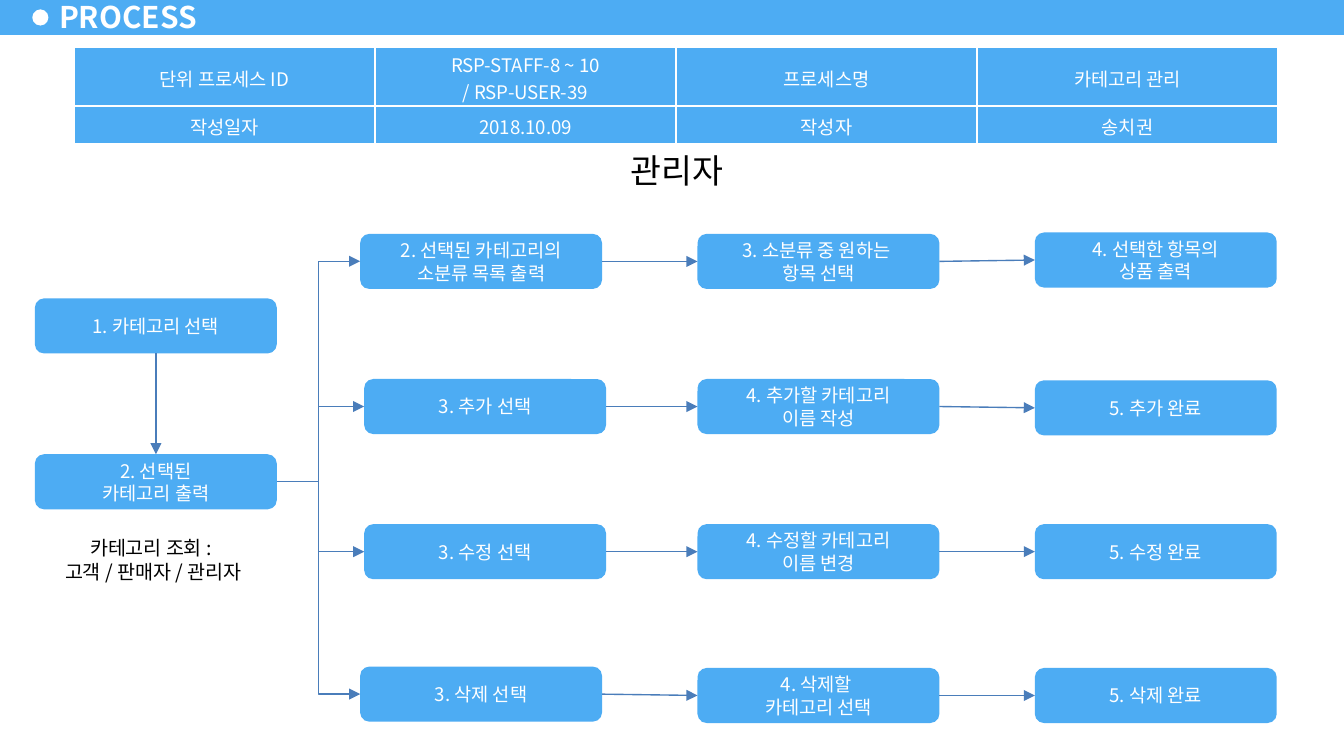
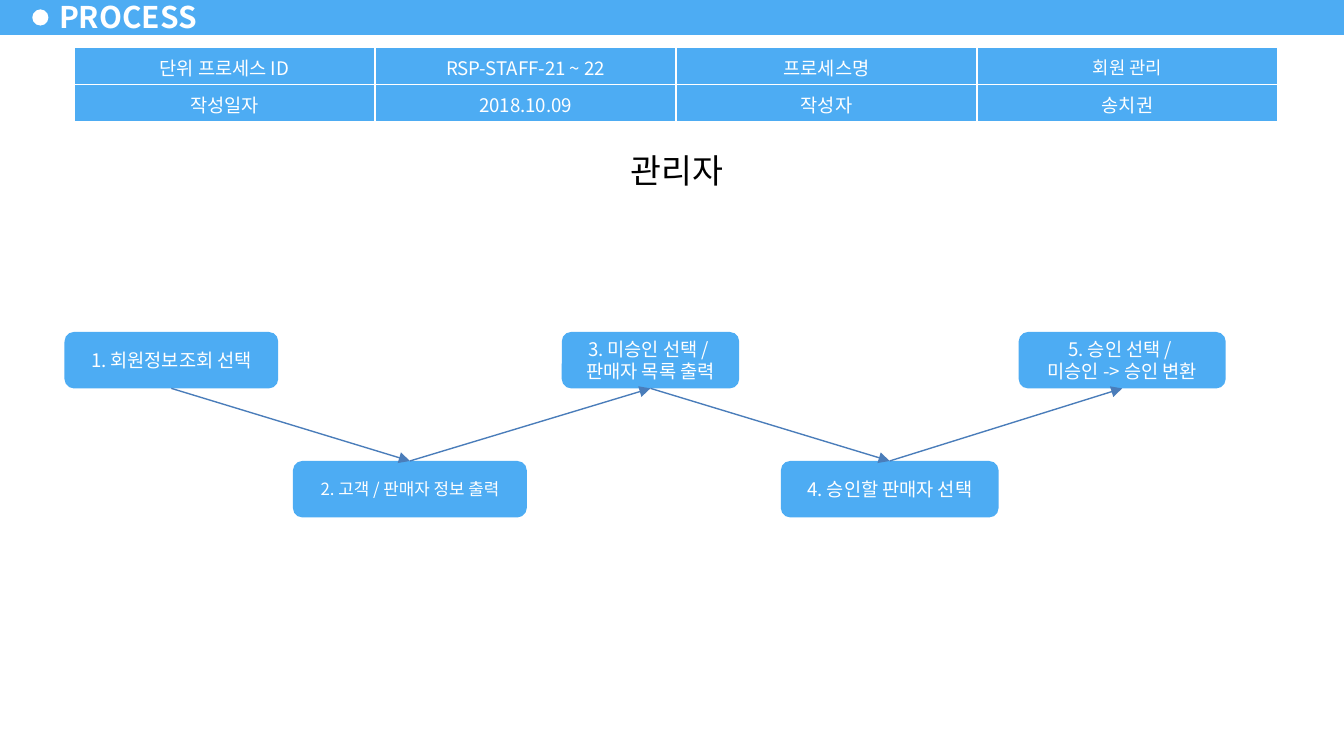
from dataclasses import dataclass
from typing import Any

from lxml import etree
from pptx import Presentation
from pptx import util as u
from pptx.dml import color
from pptx.enum import shapes, text
from pptx.oxml import ns

BLUE, LINE, WHITE, BLACK = "4DACF3", "4A7DBA", "FFFFFF", "000000"
FONT = "Noto Sans CJK KR"
BOTTOM, RIGHT, LEFT, TOP = 2, 3, 1, 0
BOX_WIDTH, BOX_HEIGHT = 1.8, 0.41


@dataclass(frozen=True)
class Step:
    label: str
    left: float
    top: float
    width: float = BOX_WIDTH
    height: float = BOX_HEIGHT
    size: float = 10


@dataclass(frozen=True)
class Branch:
    left: float
    tops: tuple[float, float, float]
    labels: tuple[str, str, str]


@dataclass(frozen=True)
class Header:
    process_id: str
    name: str
    first_row: float
    name_size: float = 10


def rgb(value: str) -> color.RGBColor:
    return color.RGBColor.from_string(value)


def apply(target: Any, values: dict[str, Any]) -> None:
    for key, value in values.items():
        setattr(target, key, value)


def child(parent: Any, tag: str, **attributes: str) -> Any:
    return etree.SubElement(parent, ns.qn(tag), attributes)


def write(frame: Any, words: str, size: float, ink: str, bold: bool = False,
          align: Any = text.PP_ALIGN.CENTER) -> None:
    frame.text = words
    for paragraph in frame.paragraphs:
        paragraph.alignment = align
        for run in paragraph.runs:
            apply(run.font, {"size": u.Pt(size), "name": FONT, "bold": bold})
            run.font.color.rgb = rgb(ink)
            child(run.font._element, "a:ea", typeface=FONT)


def block(slide: Any, kind: Any, left: float, top: float, width: float,
          height: float, fill: str) -> Any:
    area = slide.shapes.add_shape(kind, *map(u.Inches, (left, top, width, height)))
    area.shadow.inherit = False
    area.fill.solid()
    area.fill.fore_color.rgb = rgb(fill)
    area.line.fill.background()
    return area


def caption(slide: Any, words: str, left: float, top: float, width: float,
            height: float, size: float) -> None:
    area = block(slide, shapes.MSO_SHAPE.RECTANGLE, left, top, width, height, WHITE)
    apply(area.text_frame, {"vertical_anchor": text.MSO_ANCHOR.TOP, "word_wrap": True})
    write(area.text_frame, words, size, BLACK)


def draw_step(slide: Any, step: Step) -> Any:
    box = block(slide, shapes.MSO_SHAPE.ROUNDED_RECTANGLE, step.left, step.top,
                step.width, step.height, BLUE)
    apply(box.text_frame, {"vertical_anchor": text.MSO_ANCHOR.MIDDLE, "word_wrap": True})
    write(box.text_frame, step.label, step.size, WHITE)
    return box


def arrow(slide: Any, start: tuple[float, float], end: tuple[float, float],
          kind: Any = shapes.MSO_CONNECTOR.STRAIGHT) -> Any:
    link = slide.shapes.add_connector(kind, *map(u.Inches, (*start, *end)))
    link.line.width = u.Pt(0.75)
    link.line.color.rgb = rgb(LINE)
    child(link.line._get_or_add_ln(), "a:tailEnd", type="triangle")
    child(link._element.spPr, "a:effectLst")
    return link


def join(slide: Any, source: Any, source_side: int, target: Any, target_side: int,
         kind: Any = shapes.MSO_CONNECTOR.STRAIGHT) -> None:
    link = arrow(slide, (0, 0), (0, 0), kind)
    link.begin_connect(source, source_side)
    link.end_connect(target, target_side)


def draw_header(slide: Any, header: Header) -> None:
    rows = (("단위 프로세스 ID", header.process_id, "프로세스명", header.name),
            ("작성일자", "2018.10.09", "작성자", "송치권"))
    heights = (header.first_row, 0.28)
    table = slide.shapes.add_table(2, 4, *map(u.Inches, (0.55, 0.35, 8.96, sum(heights)))).table
    for column in table.columns:
        column.width = u.Inches(2.24)
    for row, height, labels in zip(table.rows, heights, rows):
        row.height = u.Inches(height)
        for cell, label in zip(row.cells, labels):
            apply(cell, {"vertical_anchor": text.MSO_ANCHOR.MIDDLE,
                         "margin_top": u.Inches(0.03), "margin_bottom": u.Inches(0.01)})
            size = header.name_size if label == header.name else 10
            write(cell.text_frame, label, size, WHITE)
            properties = cell._tc.get_or_add_tcPr()
            for edge in ("a:lnL", "a:lnR", "a:lnT", "a:lnB"):
                border = child(properties, edge, w=str(u.Pt(1)))
                child(child(border, "a:solidFill"), "a:srgbClr", val=WHITE)
            cell.fill.solid()
            cell.fill.fore_color.rgb = rgb(BLUE)


def add_banner(layout: Any, slide: Any) -> None:
    band = block(slide, shapes.MSO_SHAPE.RECTANGLE, 0, -0.02, 10, 0.28, BLUE)
    bullet = block(slide, shapes.MSO_SHAPE.OVAL, 0.24, 0.07, 0.12, 0.12, WHITE)
    for position, part in enumerate((band, bullet), 2):
        layout.shapes._spTree.insert(position, part._element)


def start_slide(deck: Any, header: Header) -> Any:
    slide = deck.slides.add_slide(deck.slide_layouts[5])
    title = slide.shapes.title
    apply(title, {"left": u.Inches(0.35), "top": u.Inches(-0.04),
                  "width": u.Inches(1.22), "height": u.Inches(0.32)})
    apply(title.text_frame, {"vertical_anchor": text.MSO_ANCHOR.MIDDLE,
                             "auto_size": text.MSO_AUTO_SIZE.NONE,
                             "margin_left": u.Inches(0.09), "margin_right": u.Inches(0.09),
                             "margin_top": u.Inches(0.04), "margin_bottom": u.Inches(0.04)})
    write(title.text_frame, "PROCESS", 16, WHITE, True, text.PP_ALIGN.LEFT)
    caption(slide, "관리자", 3.25, 1.07, 3.57, 0.4, 18)
    draw_header(slide, header)
    return slide


def category_slide(deck: Any) -> Any:
    slide = start_slide(deck, Header("RSP-STAFF-8 ~ 10\v/ RSP-USER-39", "카테고리 관리", 0.44))
    choose = draw_step(slide, Step("1. 카테고리 선택", 0.26, 2.22))
    listing = draw_step(slide, Step("2. 선택된\n카테고리 출력", 0.26, 3.38))
    join(slide, choose, BOTTOM, listing, TOP)

    branches = (
        Branch(2.68, (1.74, 1.74, 1.73),
               ("2. 선택된 카테고리의\v소분류 목록 출력",
                "3. 소분류 중 원하는 \v항목 선택", "4. 선택한 항목의\n상품 출력")),
        Branch(2.71, (2.82, 2.82, 2.83),
               ("3. 추가 선택", "4. 추가할 카테고리\n이름 작성", "5. 추가 완료")),
        Branch(2.71, (3.9, 3.9, 3.9),
               ("3. 수정 선택", "4. 수정할 카테고리\n이름 변경", "5. 수정 완료")),
        Branch(2.68, (4.96, 4.97, 4.97),
               ("3. 삭제 선택", "4. 삭제할 \n카테고리 선택", "5. 삭제 완료")),
    )
    trunk = 2.37
    last = len(branches) - 1
    for index, branch in enumerate(branches):
        lefts = (branch.left, 5.19, 7.7)
        boxes = [draw_step(slide, Step(label, left, top))
                 for label, left, top in zip(branch.labels, lefts, branch.tops)]
        for source, target in zip(boxes, boxes[1:]):
            join(slide, source, RIGHT, target, LEFT)
        middle = branch.tops[0] + BOX_HEIGHT / 2
        if index == 0:
            join(slide, listing, RIGHT, boxes[0], LEFT, shapes.MSO_CONNECTOR.ELBOW)
        elif index == last:
            descent = arrow(slide, (trunk, 3.58), (branch.left, middle),
                            shapes.MSO_CONNECTOR.ELBOW)
            guides = descent._element.spPr.find(ns.qn("a:prstGeom")).find(ns.qn("a:avLst"))
            child(guides, "a:gd", name="adj1", fmla="val 0")
        else:
            arrow(slide, (trunk, middle), (branch.left, middle))
    caption(slide, "카테고리 조회 : \n고객 / 판매자 / 관리자", 0.22, 3.94, 1.84, 0.45, 10.5)
    return slide


def member_slide(deck: Any) -> None:
    slide = start_slide(deck, Header("RSP-STAFF-21 ~ 22", "회원 관리", 0.28, 9.5))
    upper, lower, height = 2.47, 3.43, 0.42
    steps = (
        Step("1. 회원정보조회 선택", 0.48, upper, 1.59, height),
        Step("2. 고객 / 판매자 정보 출력", 2.18, lower, 1.74, height, 9),
        Step("3. 미승인 선택 / \v판매자 목록 출력", 4.18, upper, 1.32, height),
        Step("4. 승인할 판매자 선택", 5.81, lower, 1.62, height),
        Step("5. 승인 선택 / \n미승인 -> 승인 변환", 7.58, upper, 1.54, height),
    )
    boxes = [draw_step(slide, step) for step in steps]
    for index, (source, target) in enumerate(zip(boxes, boxes[1:])):
        sides = (BOTTOM, TOP) if index % 2 == 0 else (TOP, BOTTOM)
        join(slide, source, sides[0], target, sides[1])


def main() -> None:
    deck = Presentation()
    width = u.Inches(10)
    apply(deck, {"slide_width": width, "slide_height": width * 9 // 16})
    first = category_slide(deck)
    add_banner(deck.slide_layouts[5], first)
    member_slide(deck)
    deck.save("out.pptx")


main()
